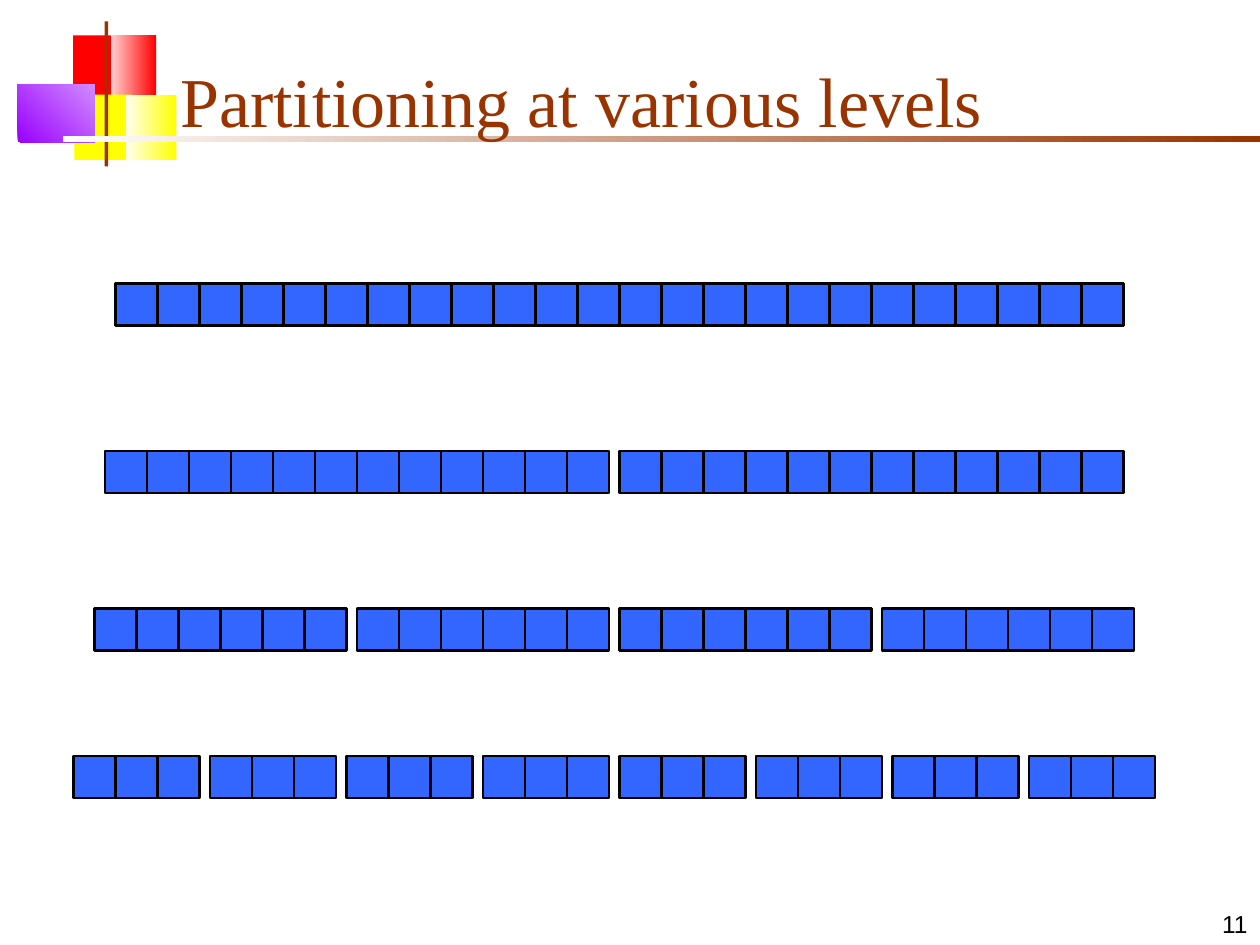
from pptx import Presentation
from pptx.dml.color import RGBColor
from pptx.enum.shapes import MSO_SHAPE
from pptx.enum.text import MSO_ANCHOR, MSO_AUTO_SIZE, PP_ALIGN
from pptx.util import Inches, Pt

COLORS = {
    "red": "FF0000", "pale_red": "FFD1D1",
    "yellow": "FFFF00", "pale_yellow": "FFFFF0",
    "purple": "9900FF", "pale_purple": "D18BFF",
    "brown": "993300", "white": "FFFFFF",
    "cell": "3366FF", "black": "000000",
}

CELLS = 24
CELL = 1 / 3
GAP = 1 / 12
MIDDLE = 4 + 11 / 12  # where the right half of every level starts


def rgb(name):
    return RGBColor.from_string(COLORS[name])


class PartitionSlide:
    def __init__(self, presentation):
        self.slide = presentation.slides.add_slide(presentation.slide_layouts[5])

    def rect(self, shapes, left, top, width, height, color, line=None):
        box = shapes.add_shape(MSO_SHAPE.RECTANGLE, Inches(left), Inches(top),
                               Inches(width), Inches(height))
        box.shadow.inherit = False
        if isinstance(color, tuple):
            start, end, angle = color
            box.fill.gradient()
            box.fill.gradient_angle = angle
            for stop, name in zip(box.fill.gradient_stops, (start, end)):
                stop.color.rgb = rgb(name)
        else:
            box.fill.solid()
            box.fill.fore_color.rgb = rgb(color)
        if line:
            box.line.color.rgb = rgb(line)
            box.line.width = Pt(1.25)
        else:
            box.line.fill.background()

    def add_text(self, frame, text, font, size, color, align):
        frame.word_wrap = True
        frame.auto_size = MSO_AUTO_SIZE.NONE
        frame.vertical_anchor = MSO_ANCHOR.BOTTOM
        paragraph = frame.paragraphs[0]
        paragraph.alignment = align
        run = paragraph.add_run()
        run.text = text
        run.font.name = font
        run.font.size = Pt(size)
        run.font.color.rgb = rgb(color)

    def title(self, text, left, top, width, height):
        heading = self.slide.shapes.title
        heading.left, heading.top = Inches(left), Inches(top)
        heading.width, heading.height = Inches(width), Inches(height)
        self.add_text(heading.text_frame, text, "Times New Roman", 40, "brown",
                      PP_ALIGN.LEFT)
        # Bring the title in front of the decoration
        heading.element.getparent().append(heading.element)

    def page_number(self, text, left, top, width, height):
        number = self.slide.shapes.add_textbox(Inches(left), Inches(top),
                                               Inches(width), Inches(height))
        self.add_text(number.text_frame, text, "Arial", 14, "black",
                      PP_ALIGN.RIGHT)

    def level(self, parts, top):
        """Draw one row of cells, split into equal parts by small gaps."""
        row = self.slide.shapes.add_group_shape()
        left = MIDDLE - CELLS / 2 * CELL - parts // 2 * GAP
        for index in range(CELLS):
            part = index * parts // CELLS
            self.rect(row.shapes, left + index * CELL + part * GAP, top,
                      CELL, CELL, "cell", line="black")


def main():
    presentation = Presentation()
    presentation.slide_width = Inches(10)
    presentation.slide_height = Inches(7.5)
    page = PartitionSlide(presentation)

    # Corner decoration and title rule
    for left, top, width, height, color in (
        (0.58, 0.28, 0.35, 0.52, "red"),
        (0.88, 0.28, 0.36, 0.52, ("pale_red", "red", 0)),
        (0.59, 0.75, 0.46, 0.52, "yellow"),
        (1, 0.75, 0.4, 0.52, ("pale_yellow", "yellow", 0)),
        (0.14, 0.67, 0.61, 0.46, ("purple", "pale_purple", 45)),
        (0.83, 0.17, 0.03, 1.15, "brown"),
        (0.5, 1.08, 9.5, 0.05, ("white", "brown", 0)),
    ):
        page.rect(page.slide.shapes, left, top, width, height, color)

    # Page number and title
    page.page_number("11", 7.92, 7, 2.08, 0.5)
    page.title("Partitioning at various levels", 1.33, 0.25, 8.52, 0.92)

    # Partition levels
    for parts, top in ((1, 2.25), (2, 3.58), (4, 4.83), (8, 6)):
        page.level(parts, top)

    presentation.save("out.pptx")


if __name__ == "__main__":
    main()
